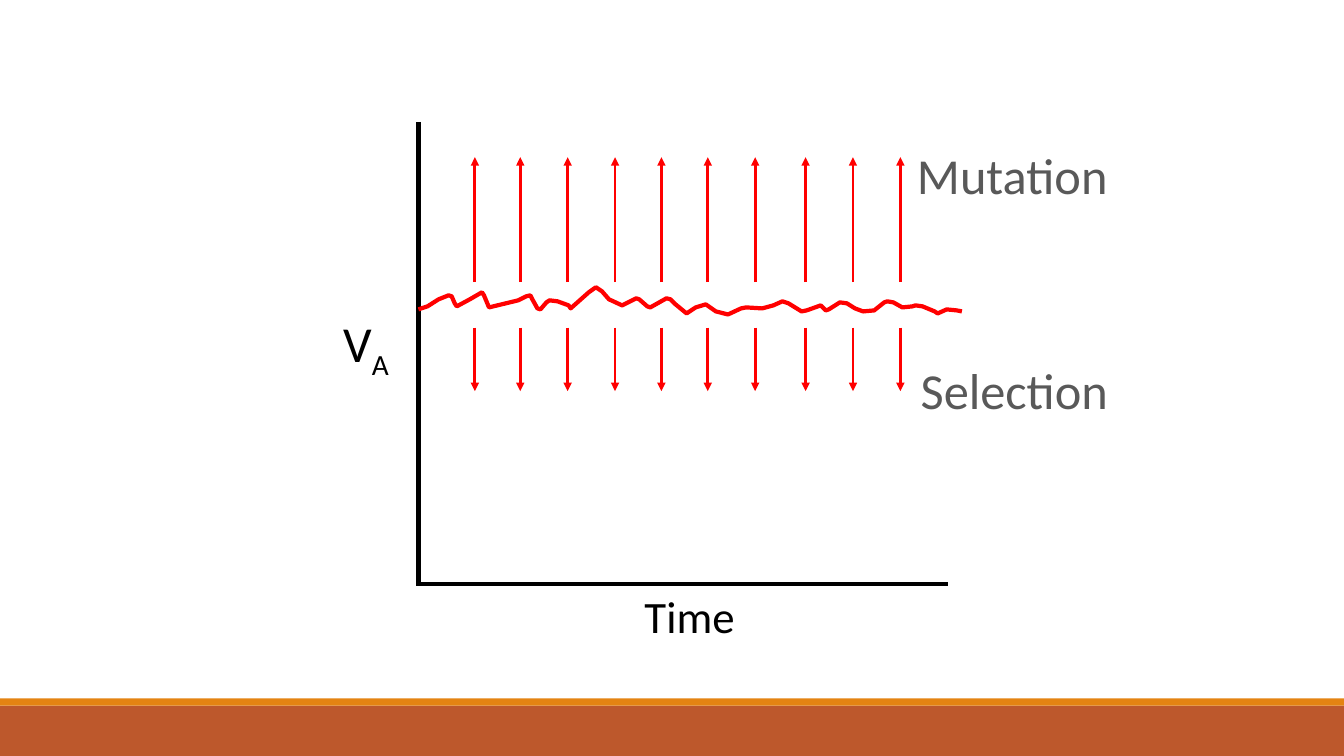
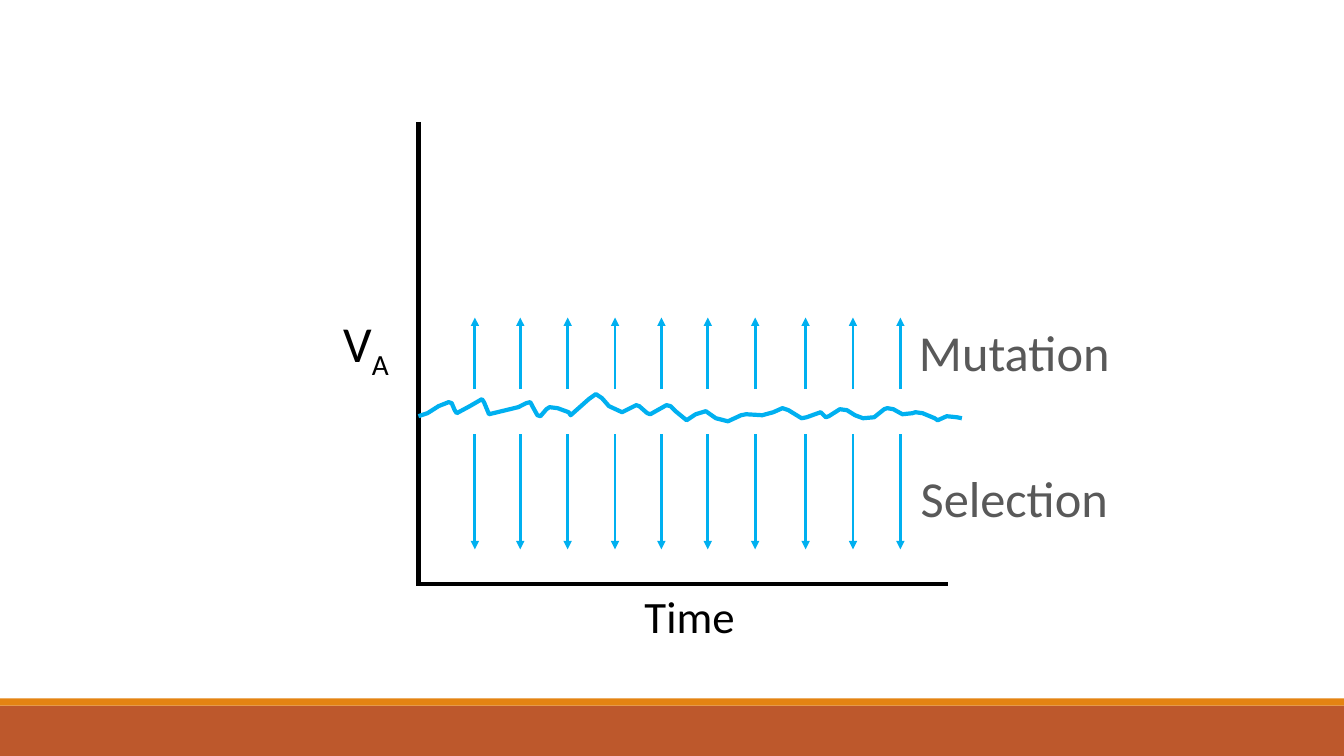
"""Builds two slides on mutation and selection balancing additive variance over time."""
from dataclasses import dataclass

from lxml.etree import SubElement
from pptx import Presentation
from pptx.dml.color import RGBColor as RGB
from pptx.enum.shapes import MSO_CONNECTOR as Conn, MSO_SHAPE as Shape
from pptx.enum.text import MSO_AUTO_SIZE as AutoSize, PP_ALIGN as Align
from pptx.oxml.ns import qn
from pptx.util import Inches, Pt


@dataclass(frozen=True)
class Theme:
    font: str = "Calibri"
    ink: str = "000000"
    grey: str = "595959"
    band: str = "BD582C"
    stripe: str = "E48312"
    large: int = 36
    medium: int = 32
    thick: int = 3
    thin: int = 2


T = Theme()
WIDTH, HEIGHT = 13.33, 7.5
BANDS = [(7, 0.5, T.band), (6.93, 0.07, T.stripe)]
AXIS_X, AXIS_Y, AXIS_TOP, AXIS_RIGHT = 4.15, 5.79, 1.21, 9.4
ARROW_XS = [4.71, 5.16, 5.63, 6.1, 6.56, 7.02, 7.49, 7.99, 8.46, 8.93]

SLIDES = [
    {"color": "FF0000", "trace_top": 2.85, "up": (2.8, 1.56), "down": (3.25, 3.88),
     "labels": [("Mutation", 8.95, 1.38), ("Selection", 8.97, 3.51)]},
    {"color": "00B0F0", "trace_top": 3.91, "up": (3.86, 3.15), "down": (4.31, 5.45),
     "labels": [("Mutation", 8.97, 3.14), ("Selection", 8.97, 4.58)]},
]

# Hundredths of an inch from the axis and from the top of the trace.
TRACE = [
    (0, 22), (9, 19), (20, 12), (30, 8), (33, 9), (36, 16), (38, 19), (51, 12),
    (63, 5), (65, 8), (70, 20), (99, 13), (107, 9), (111, 8), (113, 12), (118, 21),
    (121, 22), (127, 15), (130, 13), (138, 14), (149, 18), (151, 21), (169, 5),
    (176, 0), (182, 4), (189, 12), (202, 18), (216, 11), (219, 12), (227, 19),
    (230, 20), (246, 11), (250, 12), (255, 17), (266, 26), (275, 20), (285, 17),
    (295, 24), (307, 27), (320, 21), (325, 20), (341, 21), (352, 18), (361, 14),
    (367, 16), (380, 24), (385, 23), (399, 18), (404, 23), (407, 22), (418, 15),
    (425, 16), (433, 21), (441, 24), (452, 23), (462, 15), (465, 14), (471, 15),
    (480, 20), (490, 19), (493, 18), (500, 19), (512, 24), (515, 26), (524, 22),
    (534, 23), (539, 24),
]


def add_bands(prs, slide):
    tree = prs.slide_master.shapes.element
    for i, (top, height, color) in enumerate(BANDS):
        sp = slide.shapes.add_shape(Shape.RECTANGLE, 0, Inches(top), prs.slide_width, Inches(height))
        sp.shadow.inherit = False
        sp.fill.solid()
        sp.fill.fore_color.rgb = RGB.from_string(color)
        sp.line.fill.background()
        sp.element.nvSpPr.cNvPr.set("id", str(20 + i))
        tree.insert(2 + i, sp.element)


def add_line(shapes, start, end, color, width, arrow=False):
    line = shapes.add_connector(Conn.STRAIGHT, *map(Inches, start + end))
    line.line.color.rgb = RGB.from_string(color)
    line.line.width = Pt(width)
    if arrow:
        SubElement(line.get_or_add_ln(), qn("a:tailEnd"), type="triangle")
    SubElement(line.element.spPr, qn("a:effectLst"))


def add_label(slide, text, left, top, width, height, size, color, subscript=""):
    tf = slide.shapes.add_textbox(*map(Inches, (left, top, width, height))).text_frame
    tf.word_wrap = True
    tf.auto_size = AutoSize.SHAPE_TO_FIT_TEXT
    p = tf.paragraphs[0]
    p.alignment = Align.CENTER
    p.font.name, p.font.size = T.font, Pt(size)
    p.font.color.rgb = RGB.from_string(color)
    p.add_run().text = text
    if subscript:
        r = p.add_run()
        r.text = subscript
        r._r.get_or_add_rPr().set("baseline", "-25000")


def add_trace(slide, top, color):
    points = [(Inches(AXIS_X + x / 100), Inches(top + y / 100)) for x, y in TRACE]
    builder = slide.shapes.build_freeform(*points[0])
    builder.add_line_segments(points[1:], close=False)
    sp = builder.convert_to_shape()
    sp.shadow.inherit = False
    sp.fill.background()
    sp.line.color.rgb = RGB.from_string(color)
    sp.line.width = Pt(T.thick)


def add_graph(slide, color, trace_top, up, down, labels):
    for text, left, top in labels:
        add_label(slide, text, left, top, 2.18, 0.71, T.large, T.grey)
    add_line(slide.shapes, (AXIS_X, AXIS_TOP), (AXIS_X, AXIS_Y), T.ink, T.thick)
    add_line(slide.shapes, (AXIS_RIGHT, AXIS_Y), (AXIS_X - 0.02, AXIS_Y), T.ink, T.thick)
    add_trace(slide, trace_top, color)
    add_label(slide, "V", 2.74, 3.05, 1.78, 0.71, T.large, T.ink, subscript="A")
    add_label(slide, "Time", 5.69, AXIS_Y, 2.3, 0.64, T.medium, T.ink)
    for tail, head in (down, up):
        group = slide.shapes.add_group_shape()
        for x in ARROW_XS:
            add_line(group.shapes, (x, tail), (x, head), color, T.thin, arrow=True)


def main():
    prs = Presentation()
    prs.slide_width, prs.slide_height = Inches(WIDTH), Inches(HEIGHT)
    blank = prs.slide_layouts[6]
    slides = [prs.slides.add_slide(blank) for _ in SLIDES]
    add_bands(prs, slides[0])
    for slide, graph in zip(slides, SLIDES):
        add_graph(slide, **graph)
    prs.save("out.pptx")


if __name__ == "__main__":
    main()
